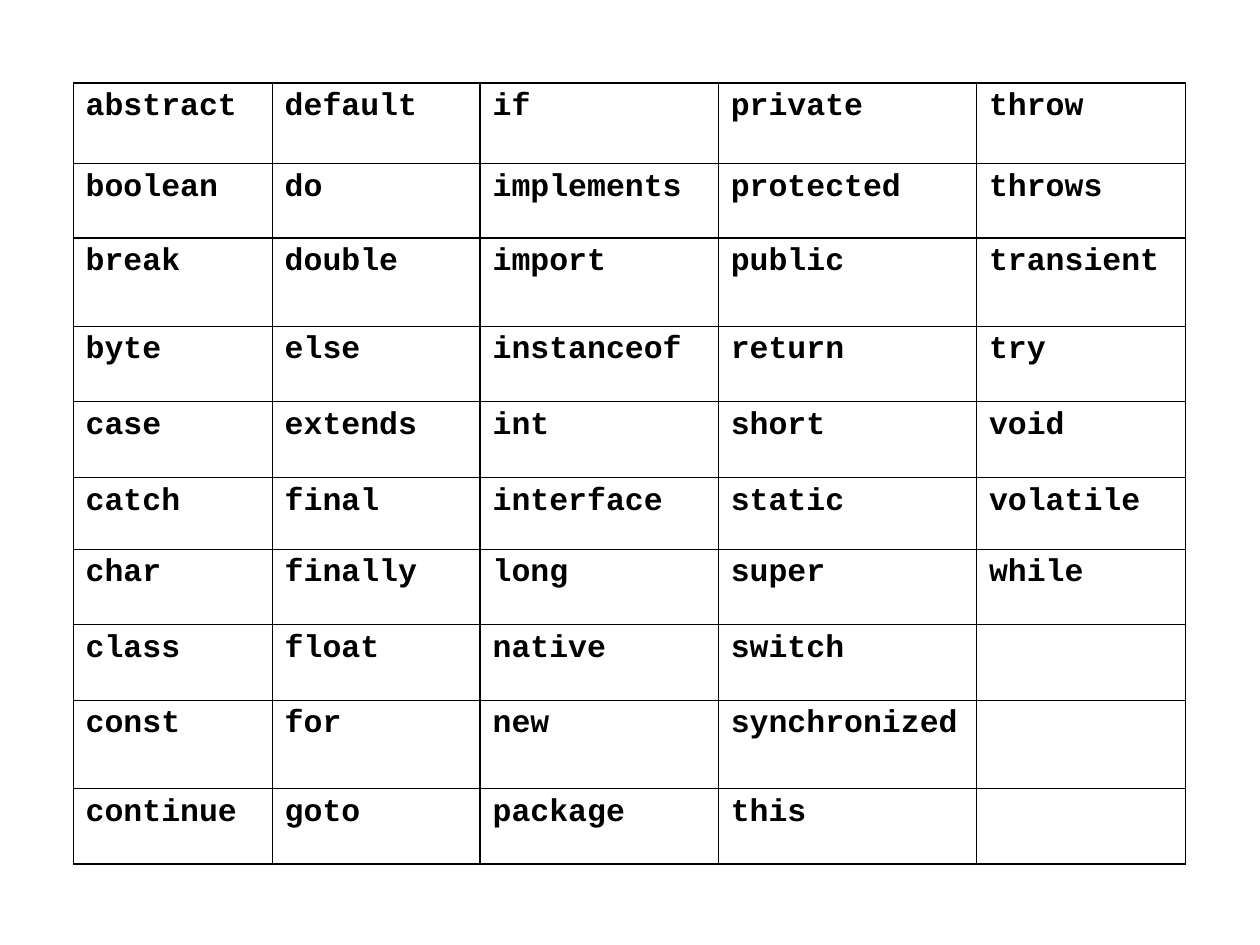
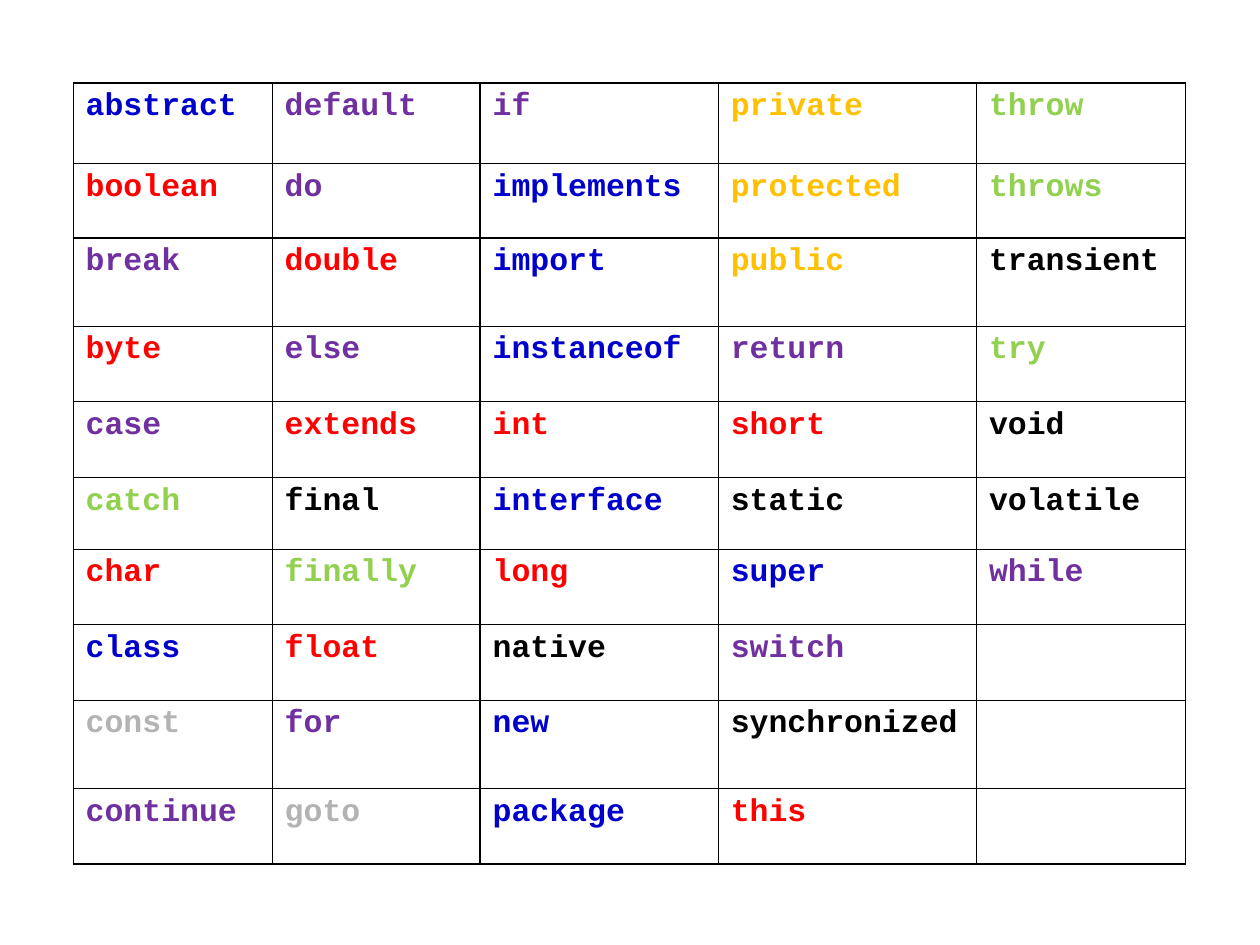
from lxml import etree
from pptx import Presentation
from pptx.dml.color import RGBColor
from pptx.oxml.ns import qn
from pptx.util import Inches, Pt

BLACK = RGBColor(0x00, 0x00, 0x00)
BLUE = RGBColor(0x00, 0x00, 0xCC)
PURPLE = RGBColor(0x70, 0x30, 0xA0)
RED = RGBColor(0xFF, 0x00, 0x00)
GOLD = RGBColor(0xFF, 0xC0, 0x00)
GREEN = RGBColor(0x92, 0xD0, 0x50)
GRAY = RGBColor(0xB3, 0xB3, 0xB3)

BLANK = 6
BOX = (0.58, 0.66, 8.83, 6.19)
COLS = (1.58, 1.65, 1.89, 2.05, 1.66)
ROWS = (0.64, 0.59, 0.7, 0.6, 0.6, 0.57, 0.6, 0.6, 0.7, 0.6)
INDENT = 0.38
THIN, THICK = 0.75, 1
FONT = {"name": "Courier New", "size": Pt(18), "bold": True}

WORDS = """
abstract boolean break byte case catch char class const continue
default do double else extends final finally float for goto
if implements import instanceof int interface long native new package
private protected public return short static super switch synchronized this
throw throws transient try void volatile while
""".split()

GROUPS = (
    (BLUE, "abstract class implements import instanceof interface new package super"),
    (PURPLE, "break case continue default do else for if return switch while"),
    (RED, "boolean byte char double extends float int long short this"),
    (GOLD, "private protected public"),
    (GREEN, "catch finally throw throws try"),
    (GRAY, "const goto"),
)
COLORS = {word: color for color, words in GROUPS for word in words.split()}


def set_edges(cell, row):
    """Rule the four sides of a cell, thicker at the table's top and bottom."""
    widths = {
        "L": THIN,
        "R": THIN,
        "T": THICK if row == 0 else THIN,
        "B": THICK if row == len(ROWS) - 1 else THIN,
    }
    props = cell._tc.get_or_add_tcPr()
    for side, width in widths.items():
        line = etree.SubElement(props, qn(f"a:ln{side}"), w=str(Pt(width)))
        fill = etree.SubElement(line, qn("a:solidFill"))
        etree.SubElement(fill, qn("a:srgbClr"), val=str(BLACK))
    cell.fill.background()


def write_word(cell, word, color):
    """Write one keyword with a hanging indent."""
    para = cell.text_frame.paragraphs[0]
    props = para._p.get_or_add_pPr()
    props.set("marL", str(Inches(INDENT)))
    props.set("indent", str(-Inches(INDENT)))
    run = para.add_run()
    run.text = word
    for name, value in FONT.items():
        setattr(run.font, name, value)
    run.font.color.rgb = color


def add_words(slide, box, colors):
    """Fill a table with the keywords, column by column."""
    frame = slide.shapes.add_table(len(ROWS), len(COLS), *map(Inches, box))
    table = frame.table
    table.first_row = table.horz_banding = False
    for col, width in zip(table.columns, COLS):
        col.width = Inches(width)
    for row, height in zip(table.rows, ROWS):
        row.height = Inches(height)
    for place in range(len(ROWS) * len(COLS)):
        col, row = divmod(place, len(ROWS))
        cell = table.cell(row, col)
        set_edges(cell, row)
        if place < len(WORDS):
            word = WORDS[place]
            write_word(cell, word, colors.get(word, BLACK))


def main():
    """Build the plain and the coloured keyword slide."""
    deck = Presentation()
    deck.slide_width, deck.slide_height = Inches(10), Inches(7.5)
    for colors in ({}, COLORS):
        slide = deck.slides.add_slide(deck.slide_layouts[BLANK])
        add_words(slide, BOX, colors)
    deck.save("out.pptx")


if __name__ == "__main__":
    main()
